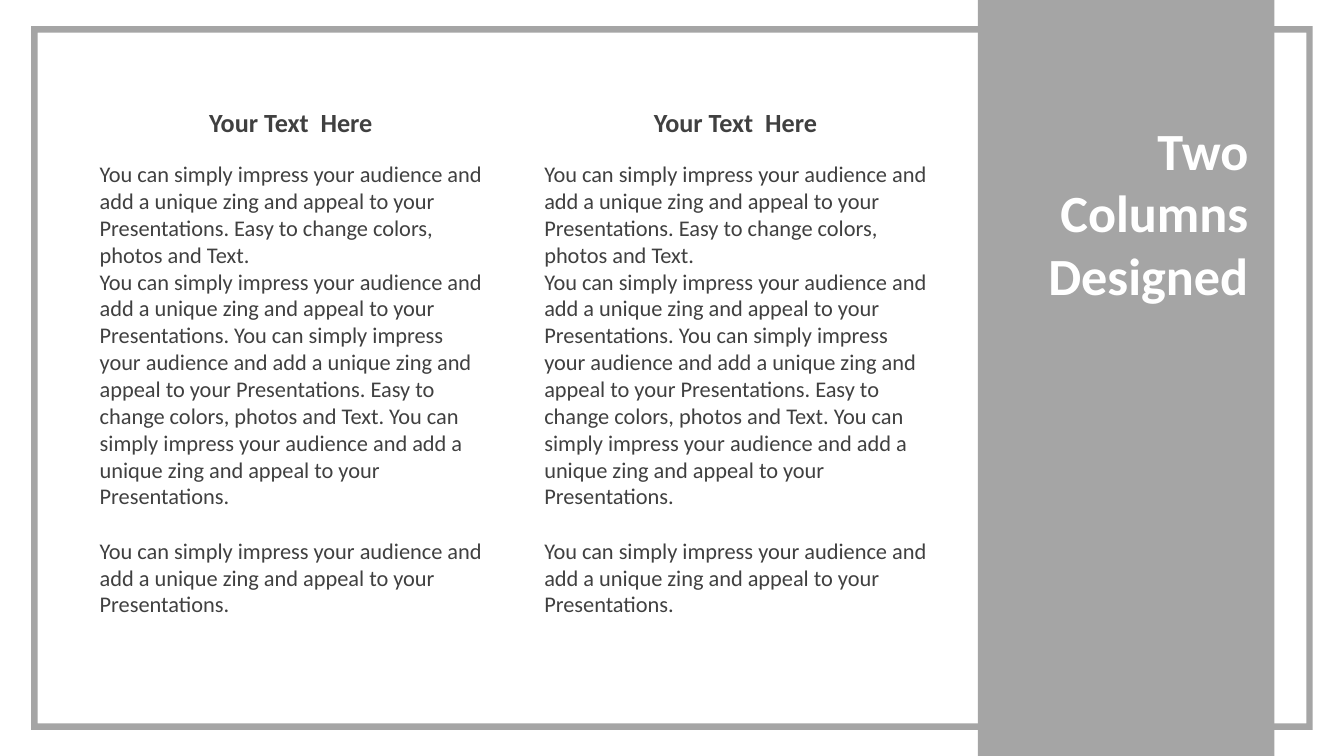
import pptx
import pptx.util
import pptx.dml.color
import pptx.enum.shapes
import pptx.enum.text

Inches, Pt = pptx.util.Inches, pptx.util.Pt
ALIGN = pptx.enum.text.PP_ALIGN
SHAPE = pptx.enum.shapes.MSO_SHAPE

# Content
TITLE = "Two Columns Designed"
IMPRESS = ("You can simply impress your audience and add a unique zing "
           "and appeal to your Presentations. ")
EASY = "Easy to change colors, photos and Text."
COLUMN = {
    "heading": "Your Text  Here",
    "body": [IMPRESS + EASY, IMPRESS * 2 + EASY + " " + IMPRESS, IMPRESS],
}
COLUMNS = [COLUMN, COLUMN]

# Theme
THEME = {
    "font": "Calibri",
    "accent": "A5A5A5", "text": "404040", "title": "FFFFFF",
    "title_size": 37.3, "heading_size": 18.7, "body_size": 16,
    "closing_gap": 19.5,
}

# Layout, in inches
WIDTH, HEIGHT = 13.33, 7.5
MARGIN_X, MARGIN_Y = 0.31, 0.26
FRAME_THICKNESS = 0.009
BAND_LEFT, BAND_WIDTH, BAND_PADDING = 9.7, 2.94, 0.16
TITLE_TOP, TITLE_HEIGHT = 1.12, 2.1
COLUMN_LEFT, COLUMN_WIDTH, COLUMN_STEP = 0.89, 3.99, 4.41
HEADING_TOP, HEADING_HEIGHT = 1.01, 0.42
BODY_TOP, BODY_HEIGHT = 1.54, 4.68

presentation = pptx.Presentation()
presentation.slide_width = Inches(WIDTH)
presentation.slide_height = Inches(HEIGHT)
slide = presentation.slides.add_slide(presentation.slide_layouts[6])


def color(name):
    return pptx.dml.color.RGBColor.from_string(THEME[name])


def add_block(kind, left, top, width, height):
    shape = slide.shapes.add_shape(
        kind, Inches(left), Inches(top), Inches(width), Inches(height))
    shape.shadow.inherit = False
    shape.fill.solid()
    shape.fill.fore_color.rgb = color("accent")
    shape.line.fill.background()
    return shape


def add_text(shapes, lines, box, size, color_name, align, bold=False):
    text_box = shapes.add_textbox(*(Inches(length) for length in box))
    text_frame = text_box.text_frame
    text_frame.word_wrap = True
    text_frame.text = "\n".join(lines)
    for paragraph in text_frame.paragraphs:
        paragraph.alignment = align
        for run in paragraph.runs:
            run.font.name = THEME["font"]
            run.font.size = Pt(THEME[size])
            run.font.bold = bold
            run.font.color.rgb = color(color_name)
    return text_frame


# Frame and title band
frame = add_block(SHAPE.FRAME, MARGIN_X, MARGIN_Y,
                  WIDTH - 2 * MARGIN_X, HEIGHT - 2 * MARGIN_Y)
frame.adjustments[0] = FRAME_THICKNESS
add_block(SHAPE.RECTANGLE, BAND_LEFT, 0, BAND_WIDTH, HEIGHT)
add_text(slide.shapes, [TITLE],
         (BAND_LEFT + BAND_PADDING, TITLE_TOP,
          BAND_WIDTH - 2 * BAND_PADDING, TITLE_HEIGHT),
         "title_size", "title", ALIGN.RIGHT, bold=True)

# Text columns, each a group of body and heading
for index, column in enumerate(COLUMNS):
    left = COLUMN_LEFT + index * COLUMN_STEP
    group = slide.shapes.add_group_shape()
    body = add_text(group.shapes, column["body"],
                    (left, BODY_TOP, COLUMN_WIDTH, BODY_HEIGHT),
                    "body_size", "text", ALIGN.LEFT)
    body.paragraphs[-1].space_before = Pt(THEME["closing_gap"])
    add_text(group.shapes, [column["heading"]],
             (left, HEADING_TOP, COLUMN_WIDTH, HEADING_HEIGHT),
             "heading_size", "text", ALIGN.CENTER, bold=True)

presentation.save("out.pptx")
